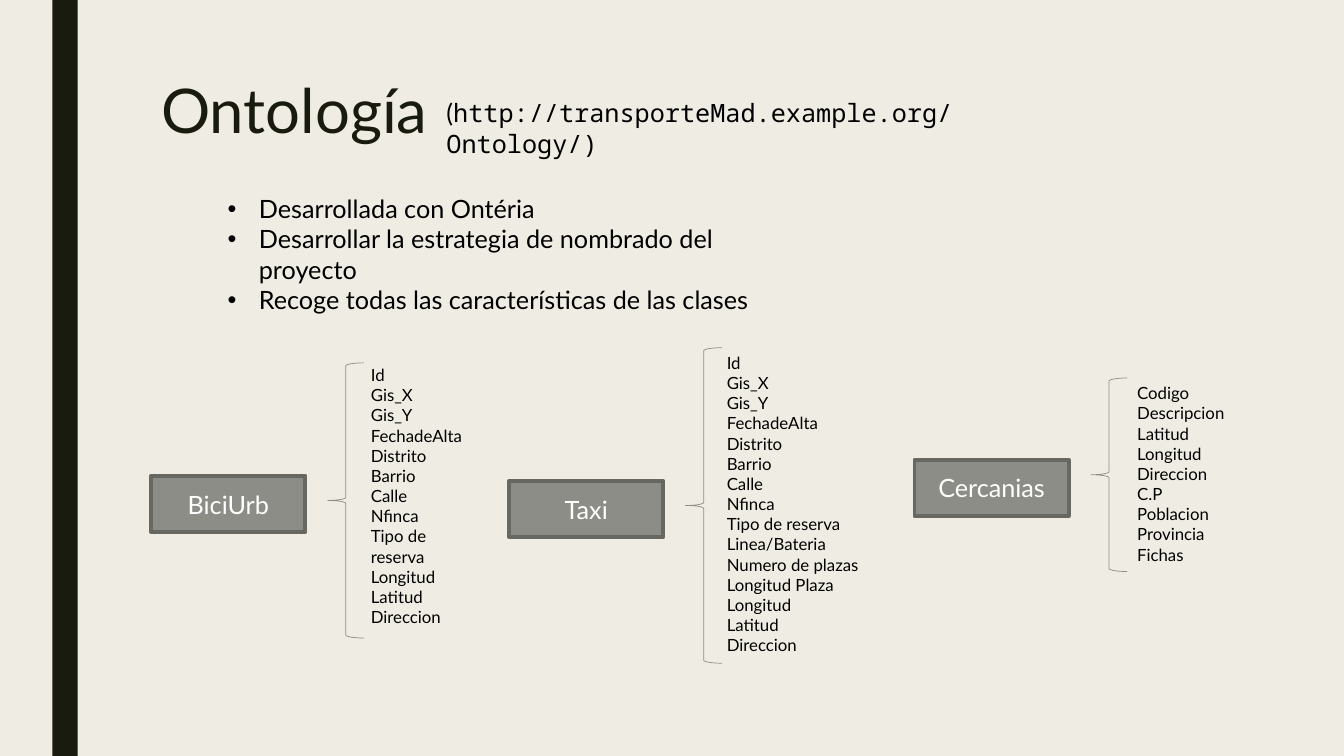
from lxml.etree import SubElement
from pptx import Presentation
from pptx.dml.color import RGBColor
from pptx.enum.shapes import MSO_SHAPE
from pptx.enum.text import MSO_ANCHOR, PP_ALIGN
from pptx.oxml.ns import qn
from pptx.util import Inches, Pt

COLORS = {"paper": "EFEDE3", "dark": "191B0E", "gray": "8C8D86",
          "edge": "686863", "black": "000000", "white": "FFFFFF"}
PLACE = ["Id", "Gis_X", "Gis_Y", "FechadeAlta", "Distrito", "Barrio",
         "Calle", "Nfinca", "Tipo de reserva"]
COORDS = ["Longitud", "Latitud", "Direccion"]
GROUPS = [
    ("BiciUrb", 1.5, 4.72, (3.6, 2.73), (3.58, 3.57, 1.16), PLACE + COORDS),
    ("Taxi", 5.05, 4.77, (3.45, 3.13), (7.11, 3.45, 1.65),
     PLACE + ["Linea/Bateria", "Numero de plazas", "Longitud Plaza"] + COORDS),
    ("Cercanias", 9.07, 4.56, (3.75, 1.92), (11.18, 3.75, 1.12),
     ["Codigo", "Descripcion", "Latitud", "Longitud", "Direccion", "C.P",
      "Poblacion", "Provincia", "Fichas"]),
]


class Canvas:
    font = "Lato"
    mono = "Noto Sans Mono"

    def __init__(self, slide):
        self.slide = slide
        fill = slide.background.fill
        fill.solid()
        fill.fore_color.rgb = self.color("paper")

    def color(self, name):
        return RGBColor.from_string(COLORS[name])

    def style(self, run, size, color, font=None):
        run.font.name = font or self.font
        run.font.size = Pt(size)
        run.font.color.rgb = self.color(color)

    def shape(self, kind, area, fill=None, line=None, weight=0.5):
        item = self.slide.shapes.add_shape(kind, *map(Inches, area))
        item.shadow.inherit = False
        if fill:
            item.fill.solid()
            item.fill.fore_color.rgb = self.color(fill)
        else:
            item.fill.background()
        if line:
            item.line.color.rgb = self.color(line)
            item.line.width = Pt(weight)
        else:
            item.line.fill.background()
        return item

    def label(self, text, area):
        item = self.shape(MSO_SHAPE.RECTANGLE, area, "gray", "edge", 2.75)
        frame = item.text_frame
        frame.text = text
        frame.vertical_anchor = MSO_ANCHOR.MIDDLE
        line = frame.paragraphs[0]
        line.alignment = PP_ALIGN.CENTER
        self.style(line.runs[0], 18, "white")

    def text(self, lines, area, size, color="black"):
        frame = self.slide.shapes.add_textbox(*map(Inches, area)).text_frame
        frame.word_wrap = True
        frame.text = "\n".join(lines)
        for line in frame.paragraphs:
            self.style(line.runs[0], size, color)
        return frame

    def bullets(self, lines, area, size):
        for line in self.text(lines, area, size).paragraphs:
            props = line._p.get_or_add_pPr()
            props.set("marL", str(Inches(0.31)))
            props.set("indent", str(-Inches(0.31)))
            SubElement(props, qn("a:buFont")).set("typeface", "Arial")
            SubElement(props, qn("a:buChar")).set("char", "•")

    def address(self, url, area, size):
        line = self.text(["("], area, size).paragraphs[0]
        run = line.add_run()
        run.text = url
        self.style(run, size, "black", self.mono)

    def group(self, name, left, top, span, spot, fields):
        self.label(name, (left, top, 1.53, 0.56))
        start, height = span
        self.shape(MSO_SHAPE.LEFT_BRACE, (left + 1.75, start, 0.36, height),
                   line="gray")
        self.text(fields, (*spot, height), 12)


def main():
    deck = Presentation()
    deck.slide_width = Inches(13.33)
    deck.slide_height = Inches(7.5)
    page = Canvas(deck.slides.add_slide(deck.slide_layouts[6]))
    page.shape(MSO_SHAPE.RECTANGLE, (0.52, 0, 0.25, 7.5), "dark")
    title = page.text(["Ontología"], (1.5, 0.75, 10.5, 1.62), 44, "dark")
    title.paragraphs[0].line_spacing = 0.89
    page.bullets(["Desarrollada con Ontéria",
                  "Desarrollar la estrategia de nombrado del proyecto",
                  "Recoge todas las características de las clases"],
                 (2.16, 1.87, 5.9, 1.01), 18)
    for group in GROUPS:
        page.group(*group)
    page.address("http://transporteMad.example.org/Ontology/)",
                 (4.33, 0.92, 6.67, 0.4), 18)
    deck.save("out.pptx")


if __name__ == "__main__":
    main()
